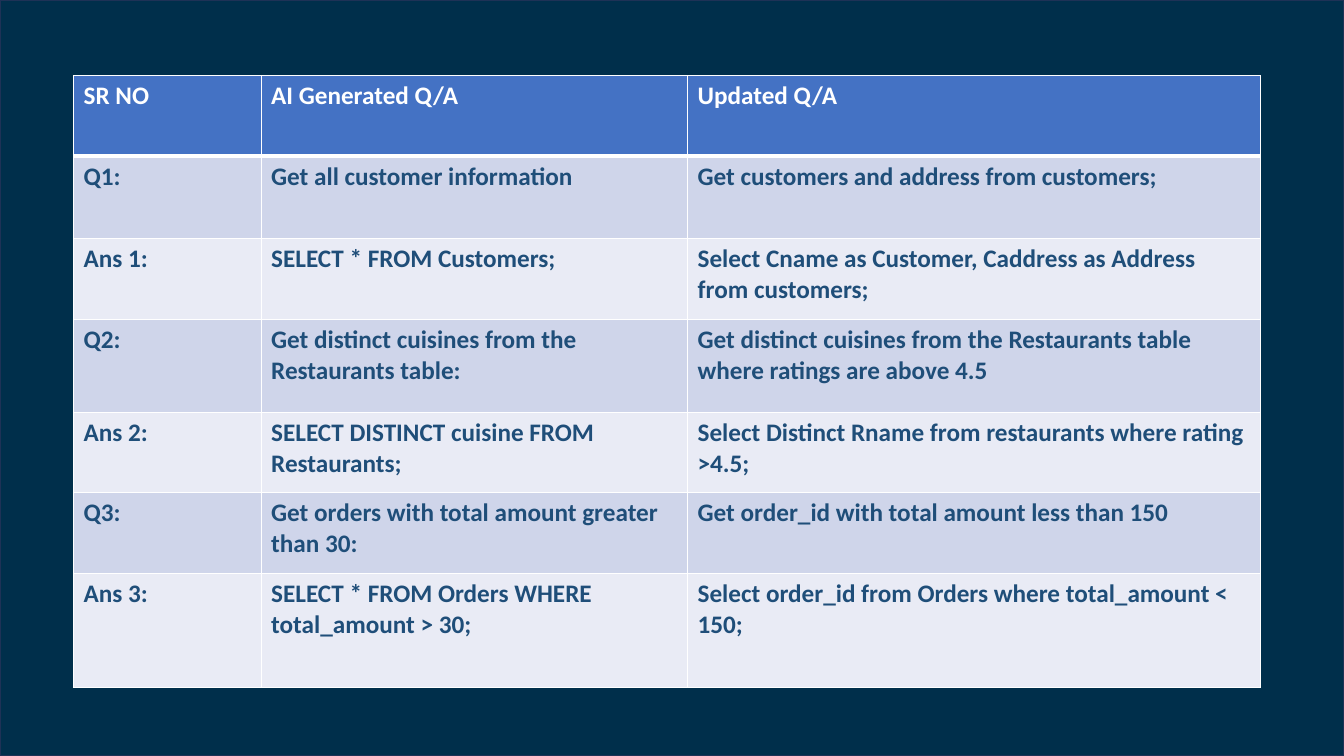
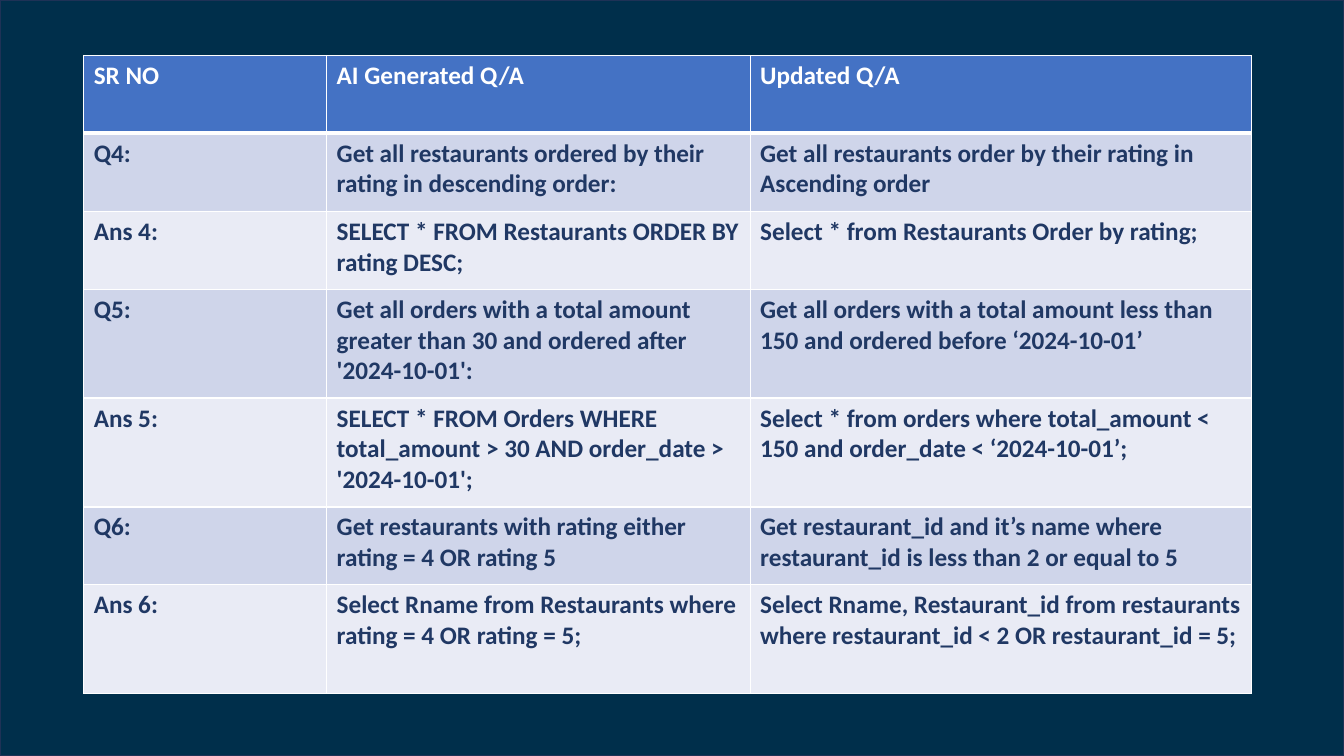
from lxml.etree import SubElement
from pptx import Presentation
from pptx.dml.color import RGBColor
from pptx.enum.shapes import MSO_SHAPE
from pptx.oxml import parse_xml
from pptx.oxml.ns import nsdecls, qn
from pptx.util import Inches, Pt

WHITE = RGBColor(0xFF, 0xFF, 0xFF)
NAVY = RGBColor(0x00, 0x2F, 0x4B)
EDGE = RGBColor(0x1E, 0x32, 0x56)
HEADER_BLUE = RGBColor(0x44, 0x72, 0xC4)
QUESTION_BAND = RGBColor(0xCF, 0xD5, 0xEA)
ANSWER_BAND = RGBColor(0xE9, 0xEB, 0xF5)
STEEL_TEXT = RGBColor(0x1F, 0x4E, 0x79)
INDIGO_TEXT = RGBColor(0x20, 0x38, 0x64)

SLIDE_WIDTH, SLIDE_HEIGHT = 13.33, 7.5
BLANK_LAYOUT = 6
TEXT_FORMAT = {"name": "Calibri", "size": Pt(18), "bold": True}
THIN, THICK = 1, 3
HEADINGS = ("SR NO", "AI Generated Q/A", "Updated Q/A")

COMPARISONS = [
    {
        "box": (0.73, 0.75, 11.77, 6.09),
        "columns": (1.86, 4.23, 5.68),
        "rows": (0.8, 0.82, 0.8, 0.92, 0.8, 0.8, 1.13),
        "ink": STEEL_TEXT,
        "entries": [
            ("Q1:", "Get all customer information",
             "Get customers and address from customers;"),
            ("Ans 1:", "SELECT * FROM Customers;",
             "Select Cname as Customer, Caddress as Address from customers;"),
            ("Q2:", "Get distinct cuisines from the Restaurants table:",
             "Get distinct cuisines from the Restaurants table where ratings are above 4.5"),
            ("Ans 2:", "SELECT DISTINCT cuisine FROM Restaurants;",
             "Select Distinct Rname from restaurants where rating >4.5;"),
            ("Q3:", "Get orders with total amount greater than 30:",
             "Get order_id with total amount less than 150"),
            ("Ans 3:", "SELECT * FROM Orders WHERE total_amount > 30;",
             "Select order_id from Orders where total_amount < 150;"),
        ],
    },
    {
        "box": (0.83, 0.55, 11.58, 6.34),
        "columns": (2.41, 4.2, 4.97),
        "rows": (0.77, 0.78, 0.77, 1.08, 1.08, 0.77, 1.08),
        "ink": INDIGO_TEXT,
        "entries": [
            ("Q4:", "Get all restaurants ordered by their rating in descending order:",
             "Get all restaurants order by their rating in Ascending order"),
            ("Ans 4:", "SELECT * FROM Restaurants ORDER BY rating DESC;",
             "Select * from Restaurants Order by rating;"),
            ("Q5:", "Get all orders with a total amount greater than 30 and ordered after '2024-10-01':",
             "Get all orders with a total amount less than 150 and ordered before ‘2024-10-01’"),
            ("Ans 5:", "SELECT * FROM Orders WHERE total_amount > 30 AND order_date > '2024-10-01';",
             "Select * from orders where total_amount < 150 and order_date < ‘2024-10-01’;"),
            ("Q6:", "Get restaurants with rating either rating = 4 OR rating 5",
             "Get restaurant_id and it’s name where restaurant_id is less than 2 or equal to 5"),
            ("Ans 6:", "Select Rname from Restaurants where rating = 4 OR rating = 5;",
             "Select Rname, Restaurant_id from restaurants where restaurant_id < 2 OR restaurant_id = 5;"),
        ],
    },
]


def add_backdrop(slide, box):
    backdrop = slide.shapes.add_shape(MSO_SHAPE.RECTANGLE, *map(Inches, box))
    backdrop.shadow.inherit = False
    backdrop.fill.solid()
    backdrop.fill.fore_color.rgb = NAVY
    backdrop.line.color.rgb = EDGE
    backdrop.line.width = Pt(1)


def set_borders(cell, widths):
    properties = cell._tc.get_or_add_tcPr()
    for position, (side, width) in enumerate(widths.items()):
        border = parse_xml(f'<a:ln{side} {nsdecls("a")} w="{Pt(width)}"/>')
        fill = SubElement(border, qn("a:solidFill"))
        SubElement(fill, qn("a:srgbClr"), val=str(WHITE))
        properties.insert(position, border)


def fill_cell(cell, wording, band, ink, top, bottom):
    cell.text = wording
    cell.fill.solid()
    cell.fill.fore_color.rgb = band
    font = cell.text_frame.paragraphs[0].runs[0].font
    for attribute, value in TEXT_FORMAT.items():
        setattr(font, attribute, value)
    font.color.rgb = ink
    set_borders(cell, {"L": THIN, "R": THIN, "T": top, "B": bottom})


def add_comparison(slide, box, columns, rows, ink, entries):
    table = slide.shapes.add_table(
        len(rows), len(columns), *map(Inches, box)).table
    for column, width in zip(table.columns, columns):
        column.width = Inches(width)
    for row, height in zip(table.rows, rows):
        row.height = Inches(height)
    for index, wordings in enumerate([HEADINGS, *entries]):
        is_header = index == 0
        band = QUESTION_BAND if index % 2 else ANSWER_BAND
        for cell, wording in zip(table.rows[index].cells, wordings):
            fill_cell(cell, wording,
                      band=HEADER_BLUE if is_header else band,
                      ink=WHITE if is_header else ink,
                      top=THICK if index == 1 else THIN,
                      bottom=THICK if is_header else THIN)


def main():
    deck = Presentation()
    deck.slide_width = Inches(SLIDE_WIDTH)
    deck.slide_height = Inches(SLIDE_HEIGHT)
    for comparison in COMPARISONS:
        slide = deck.slides.add_slide(deck.slide_layouts[BLANK_LAYOUT])
        add_backdrop(slide, (0, 0, SLIDE_WIDTH, SLIDE_HEIGHT))
        add_comparison(slide, **comparison)
    deck.save("out.pptx")


if __name__ == "__main__":
    main()
